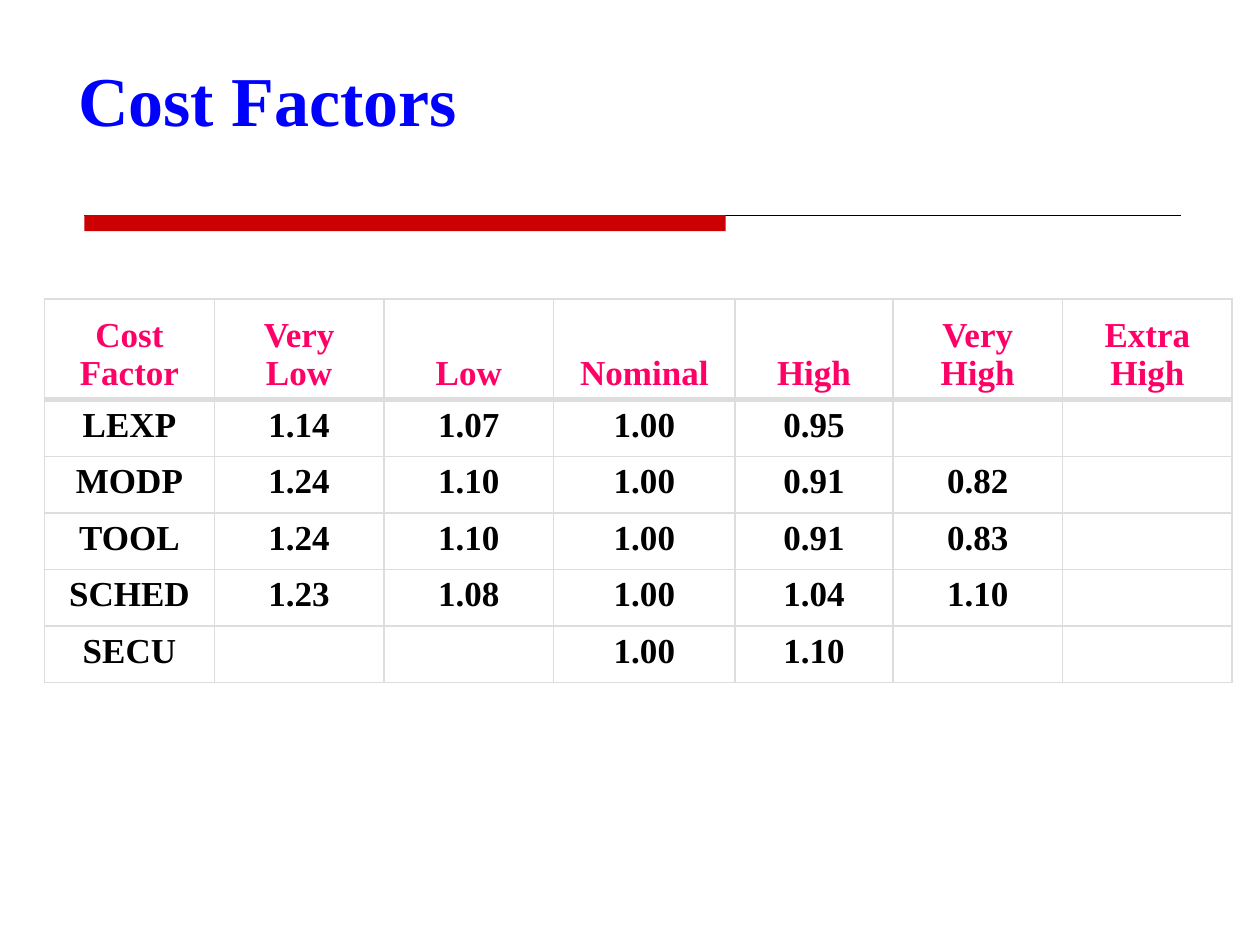
from lxml.etree import SubElement
from pptx import Presentation
from pptx.dml.color import RGBColor
from pptx.enum.shapes import MSO_CONNECTOR as Connector, MSO_SHAPE as Shape
from pptx.enum.text import MSO_ANCHOR as Anchor, MSO_AUTO_SIZE as AutoSize, PP_ALIGN as Align
from pptx.oxml.ns import qn
from pptx.util import Cm, Pt

FONT = "Times New Roman"
BLUE, PINK, RED, BLACK, GREY = "0000FF", "FF0066", "CC0000", "000000", "DDDDDD"
HEADINGS = ["Cost Factor", "Very Low", "Low", "Nominal", "High", "Very High", "Extra High"]
FACTORS = [
    ["LEXP", "1.14", "1.07", "1.00", "0.95", "", ""],
    ["MODP", "1.24", "1.10", "1.00", "0.91", "0.82", ""],
    ["TOOL", "1.24", "1.10", "1.00", "0.91", "0.83", ""],
    ["SCHED", "1.23", "1.08", "1.00", "1.04", "1.10", ""],
    ["SECU", "", "", "1.00", "1.10", "", ""],
]
COLUMN_WIDTHS = [3.42, 3.42, 3.42, 3.66, 3.18, 3.42, 3.42]
HEADER_HEIGHT, ROW_HEIGHT = 2.03, 1.14


def colour(value):
    """Turn a hex string into a colour."""
    return RGBColor.from_string(value)


def add_run(para, text, size, value):
    """Add one bold run to a paragraph."""
    span = para.add_run()
    span.text = text
    span.font.name = FONT
    span.font.size = Pt(size)
    span.font.bold = True
    span.font.color.rgb = colour(value)


def set_title(page, text, left, top, width, height):
    """Place and format the title placeholder."""
    box = page.shapes.title
    box.left, box.top, box.width, box.height = Cm(left), Cm(top), Cm(width), Cm(height)
    frame = box.text_frame
    frame.auto_size = AutoSize.NONE
    frame.vertical_anchor = Anchor.MIDDLE
    para = frame.paragraphs[0]
    para.alignment = Align.LEFT
    add_run(para, text, 40, BLUE)


def add_title_rule(page, left, top, width, height):
    """Draw the thin rule with its thick red part."""
    rule = page.shapes.add_connector(
        Connector.STRAIGHT, Cm(left), Cm(top), Cm(left + width), Cm(top))
    rule.line.color.rgb = colour(BLACK)
    rule.line.width = Pt(0.75)
    SubElement(rule._element.spPr, qn("a:effectLst"))
    bar = page.shapes.add_shape(
        Shape.RECTANGLE, Cm(left), Cm(top), Cm(width * 0.585), Cm(height))
    bar.shadow.inherit = False
    bar.fill.solid()
    bar.fill.fore_color.rgb = colour(RED)
    bar.line.fill.background()


def set_borders(cell, top, bottom):
    """Outline a cell, with the top and bottom widths in points."""
    properties = cell._tc.get_or_add_tcPr()
    for side, width in (("L", 1), ("R", 1), ("T", top), ("B", bottom)):
        line = SubElement(properties, qn(f"a:ln{side}"), w=str(Pt(width)))
        fill = SubElement(line, qn("a:solidFill"))
        SubElement(fill, qn("a:srgbClr"), val=GREY)


def add_factor_table(page, left, top):
    """Build the table of cost factors."""
    rows = [HEADINGS] + FACTORS
    heights = [HEADER_HEIGHT] + [ROW_HEIGHT] * len(FACTORS)
    table = page.shapes.add_table(
        len(rows), len(HEADINGS), Cm(left), Cm(top),
        Cm(sum(COLUMN_WIDTHS)), Cm(sum(heights))).table
    table.horz_banding = False
    for column, width in zip(table.columns, COLUMN_WIDTHS):
        column.width = Cm(width)
    for index, (texts, height) in enumerate(zip(rows, heights)):
        table.rows[index].height = Cm(height)
        header = index == 0
        for cell, text in zip(table.rows[index].cells, texts):
            set_borders(cell, 3 if index == 1 else 1, 3 if header else 1)
            cell.fill.background()
            cell.margin_left = cell.margin_right = Cm(0.26)
            cell.vertical_anchor = Anchor.BOTTOM if header else Anchor.TOP
            para = cell.text_frame.paragraphs[0]
            para.alignment = Align.CENTER
            if text:
                add_run(para, text, 20, PINK if header else BLACK)


def main():
    """Build and save the deck."""
    deck = Presentation()
    deck.slide_width, deck.slide_height = Cm(25.4), Cm(19.05)
    page = deck.slides.add_slide(deck.slide_layouts[5])
    add_title_rule(page, 1.7, 4.34, 22.1, 0.32)
    set_title(page, "Cost Factors", 1.32, 1.14, 21.59, 1.7)
    add_factor_table(page, 0.9, 6.03)
    deck.save("out.pptx")


if __name__ == "__main__":
    main()
